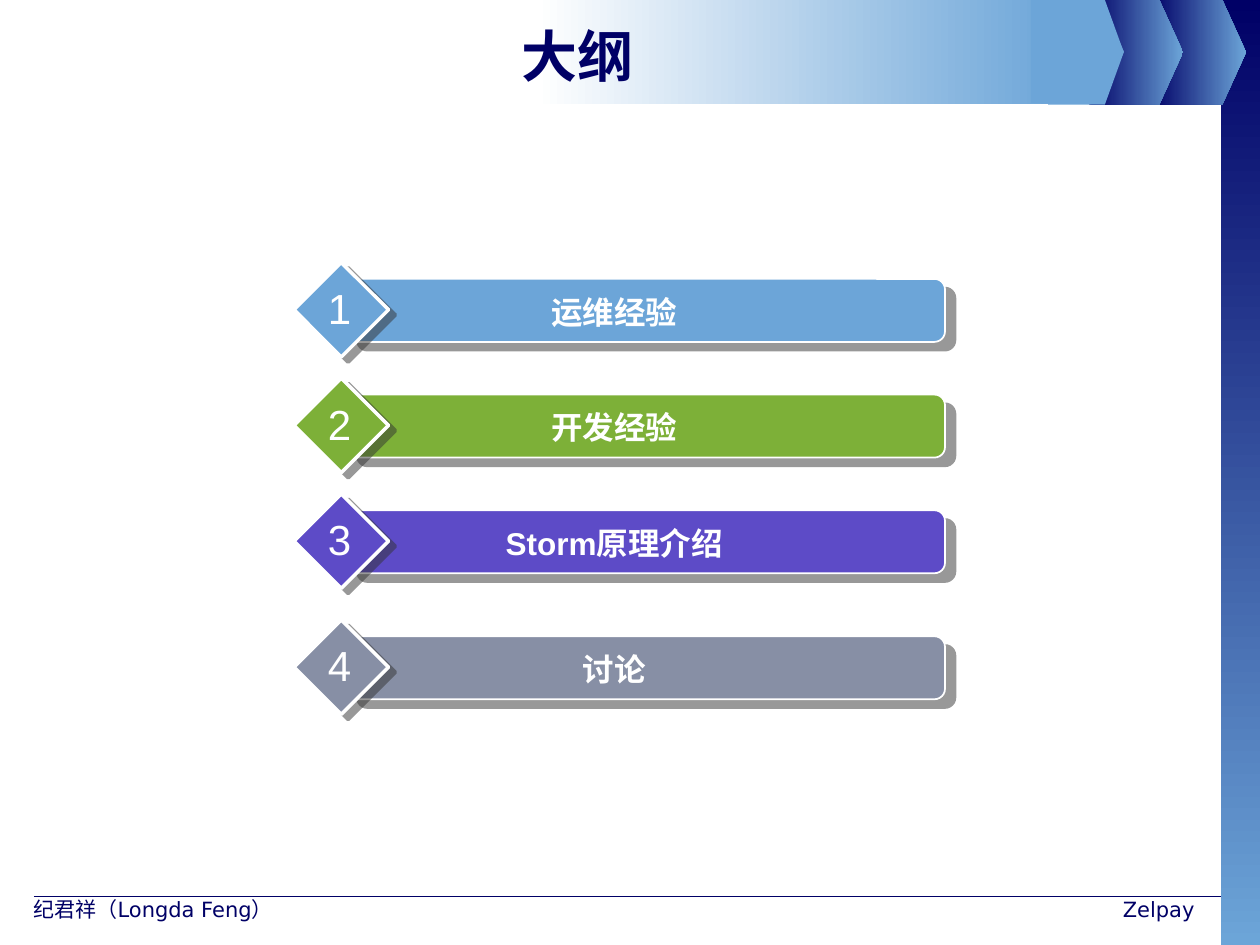
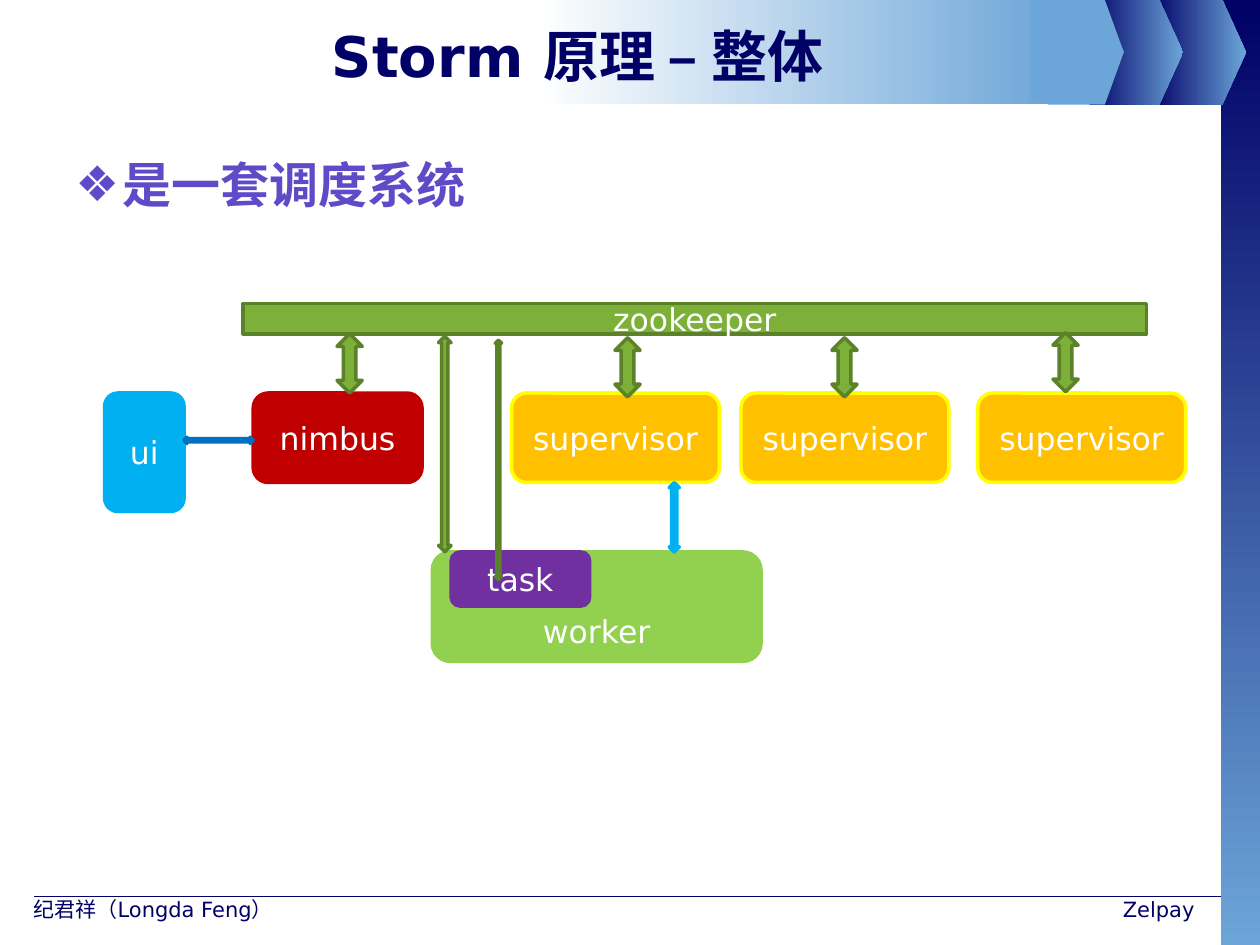
from dataclasses import dataclass

from lxml.etree import SubElement
from pptx import Presentation
from pptx.dml.color import RGBColor
from pptx.enum.shapes import MSO_CONNECTOR, MSO_SHAPE
from pptx.enum.text import MSO_ANCHOR, PP_ALIGN
from pptx.oxml.ns import qn
from pptx.util import Pt

# Shared style
NAVY, SKY, WHITE = "000066", "6CA5D8", "FFFFFF"
GREEN, DARK_GREEN, VIOLET, GREY = "7DB038", "5C8229", "5D4BC7", "878FA5"
CYAN, BLUE, RED, PURPLE = "00B0F0", "0070C0", "C00000", "7030A0"
AMBER, YELLOW, LIME = "FFC000", "FFFF00", "92D050"
MAIN_FONT, LABEL_FONT = "DejaVu Sans", "Arial"


@dataclass(frozen=True)
class Area:
    left: float
    top: float
    width: float
    height: float

    def lengths(self) -> tuple:
        return Pt(self.left), Pt(self.top), Pt(self.width), Pt(self.height)


@dataclass(frozen=True)
class TextStyle:
    size: float
    color: str = WHITE
    bold: bool = False
    font: str = MAIN_FONT
    align: PP_ALIGN = PP_ALIGN.CENTER
    anchor: MSO_ANCHOR = MSO_ANCHOR.TOP


@dataclass(frozen=True)
class Gradient:
    start: str
    end: str
    angle: float = 0


@dataclass(frozen=True)
class Band:
    area: Area
    kind: MSO_SHAPE
    fill: str | Gradient


@dataclass(frozen=True)
class Topic:
    label: str
    color: str
    top: float


@dataclass(frozen=True)
class Node:
    label: str
    area: Area
    fill: str
    line: str
    kind: MSO_SHAPE = MSO_SHAPE.ROUNDED_RECTANGLE
    anchor: MSO_ANCHOR = MSO_ANCHOR.MIDDLE


@dataclass(frozen=True)
class Arrow:
    area: Area
    fill: str = GREEN
    line: str = DARK_GREEN
    kind: MSO_SHAPE = MSO_SHAPE.UP_DOWN_ARROW


TITLE = TextStyle(32, NAVY, True, anchor=MSO_ANCHOR.MIDDLE)
BODY = TextStyle(28, VIOLET, True, align=PP_ALIGN.LEFT)
TOPIC_LABEL = TextStyle(18, bold=True, font=LABEL_FONT)
TOPIC_NUMBER = TextStyle(24, font=LABEL_FONT)

NAVY_TO_SKY = Gradient(NAVY, SKY)
BANDS = [
    Band(Area(697.7, 0, 22.3, 540), MSO_SHAPE.RECTANGLE, Gradient(NAVY, SKY, 270)),
    Band(Area(658, 0, 54, 59.75), MSO_SHAPE.PENTAGON, NAVY_TO_SKY),
    Band(Area(622, 0, 54, 59.75), MSO_SHAPE.PENTAGON, NAVY_TO_SKY),
    Band(Area(599, 0, 43.2, 59.75), MSO_SHAPE.PENTAGON, SKY),
    Band(Area(306, 0, 301, 59.75), MSO_SHAPE.RECTANGLE, Gradient(WHITE, SKY)),
    Band(Area(589, 0, 53.2, 59), MSO_SHAPE.PENTAGON, SKY),
]

TOPICS = [
    Topic("运维经验", SKY, 159.4),
    Topic("开发经验", GREEN, 225.5),
    Topic("Storm原理介绍", VIOLET, 291.6),
    Topic("讨论", GREY, 363.6),
]

NODE_TOP, NODE_HEIGHT, WORKER_TOP = 224.6, 51.1, 315.4
NODES = [
    Node("zookeeper", Area(139, 173.5, 516.2, 17.3), GREEN, DARK_GREEN, MSO_SHAPE.RECTANGLE),
    Node("ui", Area(59.8, NODE_TOP, 45.4, 67.7), CYAN, CYAN),
    Node("nimbus", Area(144.7, NODE_TOP, 96.5, NODE_HEIGHT), RED, RED),
    *[Node("supervisor", Area(left, NODE_TOP, 118.8, NODE_HEIGHT), AMBER, YELLOW)
      for left in (292.3, 423.4, 558.7)],
    Node("worker", Area(247, WORKER_TOP, 187.9, 62.6), LIME, LIME, anchor=MSO_ANCHOR.BOTTOM),
    Node("task", Area(257.8, WORKER_TOP, 79.2, 31), PURPLE, PURPLE),
]
ARROWS = [
    Arrow(Area(105.1, 249.8, 39.6, 3.6), BLUE, BLUE, MSO_SHAPE.LEFT_RIGHT_ARROW),
    # Between zookeeper and the nodes below it
    *[Arrow(Area(left, top, 14.4, 33.8))
      for left, top in ((192.6, 190.8), (351.4, 193), (475.4, 193), (601.7, 190.1))],
    # Between zookeeper and the task, then the worker
    Arrow(Area(283, 194.4, 3.6, 136.8)),
    Arrow(Area(250.6, 192.2, 7.2, 123.1)),
    # Between supervisor and worker
    Arrow(Area(382.4, 275.8, 5.8, 39.6), CYAN, CYAN),
]


def rgb(value: str) -> RGBColor:
    return RGBColor.from_string(value)


def write(box, text: str, style: TextStyle) -> None:
    frame = box.text_frame
    frame.text = text
    frame.word_wrap = True
    frame.vertical_anchor = style.anchor
    paragraph = frame.paragraphs[0]
    paragraph.alignment = style.align
    for span in paragraph.runs:
        span.font.size = Pt(style.size)
        span.font.name = style.font
        span.font.bold = style.bold
        span.font.color.rgb = rgb(style.color)


def add_text(page, area: Area, text: str, style: TextStyle):
    box = page.shapes.add_textbox(*area.lengths())
    write(box, text, style)
    return box


def add_figure(page, kind: MSO_SHAPE, area: Area, fill: str | Gradient,
               line: str | None = None, weight: float = 2):
    figure = page.shapes.add_shape(kind, *area.lengths())
    figure.shadow.inherit = False
    if isinstance(fill, Gradient):
        figure.fill.gradient()
        figure.fill.gradient_angle = fill.angle
        for stop, color in zip(figure.fill.gradient_stops, (fill.start, fill.end)):
            stop.color.rgb = rgb(color)
    else:
        figure.fill.solid()
        figure.fill.fore_color.rgb = rgb(fill)
    if line:
        figure.line.color.rgb = rgb(line)
        figure.line.width = Pt(weight)
    else:
        figure.line.fill.background()
    return figure


def add_shadow(figure, distance: float, degrees: int) -> None:
    effects = figure.element.spPr.find(qn("a:effectLst"))
    shadow = SubElement(effects, qn("a:outerShdw"), dist=str(Pt(distance)),
                        dir=str(degrees * 60000), algn="ctr", rotWithShape="0")
    color = SubElement(shadow, qn("a:srgbClr"), val="333333")
    SubElement(color, qn("a:alpha"), val="50000")


def add_bullet(paragraph, symbol: str, indent: float) -> None:
    properties = paragraph._p.get_or_add_pPr()
    properties.set("marL", str(Pt(indent)))
    properties.set("indent", str(-Pt(indent)))
    color = SubElement(properties, qn("a:buClr"))
    SubElement(color, qn("a:srgbClr"), val=VIOLET)
    SubElement(properties, qn("a:buFont"), typeface=MAIN_FONT)
    SubElement(properties, qn("a:buChar"), char=symbol)


def add_page(deck, title: str):
    page = deck.slides.add_slide(deck.slide_layouts[6])
    # Footer rule
    rule = page.shapes.add_connector(
        MSO_CONNECTOR.STRAIGHT, Pt(19.4), Pt(512.4), Pt(697.7), Pt(512.4))
    rule.line.color.rgb = rgb(NAVY)
    rule.line.width = Pt(0.75)
    SubElement(rule.element.spPr, qn("a:effectLst"))
    # Header and side bands
    for band in BANDS:
        figure = add_figure(page, band.kind, band.area, band.fill)
        if band.kind == MSO_SHAPE.PENTAGON:
            figure.adjustments[0] = 0.25
    # Footer and title text
    add_text(page, Area(12.2, 509, 167.8, 25.2), "纪君祥（Longda Feng）",
             TextStyle(12, NAVY, align=PP_ALIGN.LEFT))
    add_text(page, Area(461.5, 509, 228.2, 25.2), "Zelpay",
             TextStyle(12, NAVY, align=PP_ALIGN.RIGHT))
    add_text(page, Area(36, 9.4, 588.2, 44.6), title, TITLE)
    return page


def add_topic(page, number: int, topic: Topic) -> None:
    bar = add_figure(page, MSO_SHAPE.ROUNDED_RECTANGLE,
                     Area(198, topic.top, 342, 36), topic.color, WHITE, 1)
    add_shadow(bar, 7.8, 40)
    diamond = add_figure(page, MSO_SHAPE.DIAMOND,
                         Area(168, topic.top - 9.4, 54, 54), topic.color, WHITE)
    add_shadow(diamond, 5, 37)
    add_text(page, Area(216, topic.top + 4.3, 270, 28.8), topic.label, TOPIC_LABEL)
    box = add_text(page, Area(180, topic.top - 1.6, 28, 36), str(number), TOPIC_NUMBER)
    box.text_frame.word_wrap = False


def build_outline(deck) -> None:
    page = add_page(deck, "大纲")
    for number, topic in enumerate(TOPICS, start=1):
        add_topic(page, number, topic)


def build_architecture(deck) -> None:
    page = add_page(deck, "Storm 原理 – 整体")
    body = add_text(page, Area(36, 85, 648, 413.3), "是一套调度系统", BODY)
    paragraph = body.text_frame.paragraphs[0]
    paragraph.space_before = Pt(5.6)
    add_bullet(paragraph, "❖", 27)
    for node in NODES:
        box = add_figure(page, node.kind, node.area, node.fill, node.line)
        write(box, node.label, TextStyle(18, anchor=node.anchor))
    for arrow in ARROWS:
        add_figure(page, arrow.kind, arrow.area, arrow.fill, arrow.line)


def main() -> None:
    deck = Presentation()
    deck.slide_width, deck.slide_height = Pt(720), Pt(540)
    build_outline(deck)
    build_architecture(deck)
    deck.save("out.pptx")


if __name__ == "__main__":
    main()
